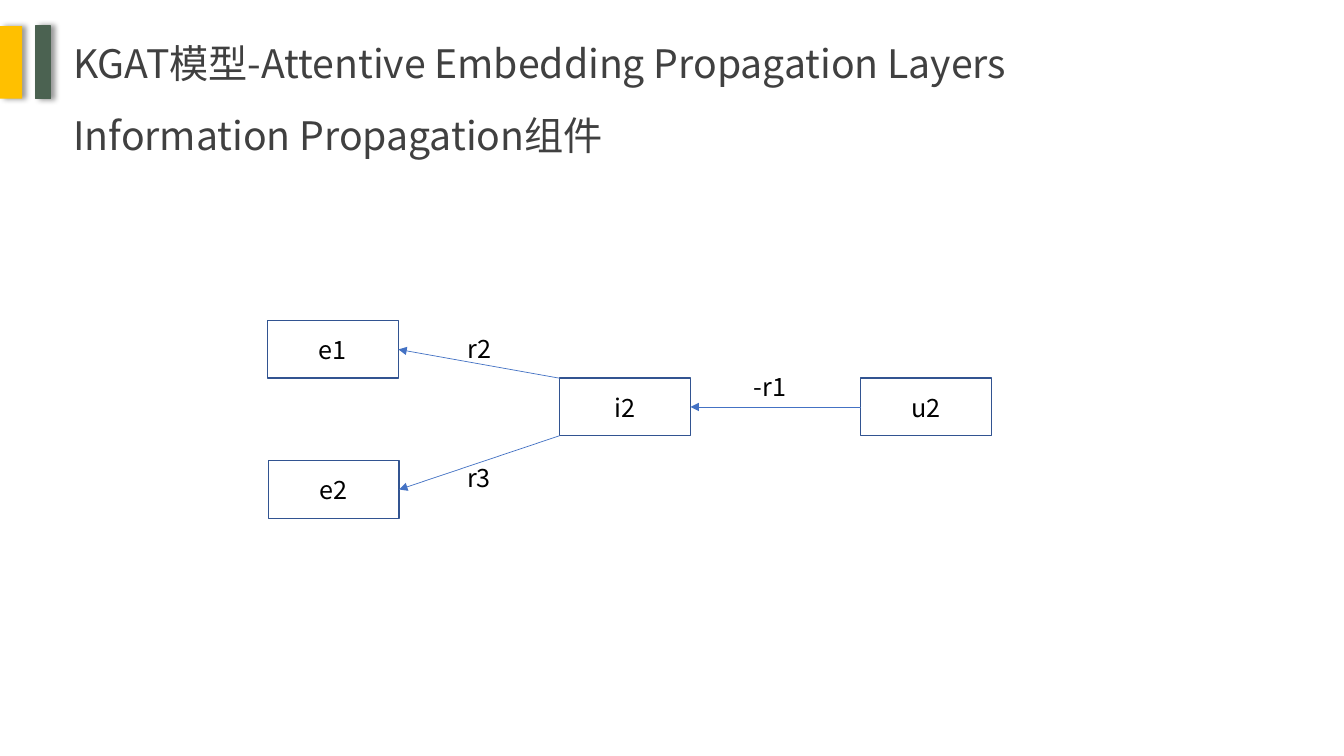
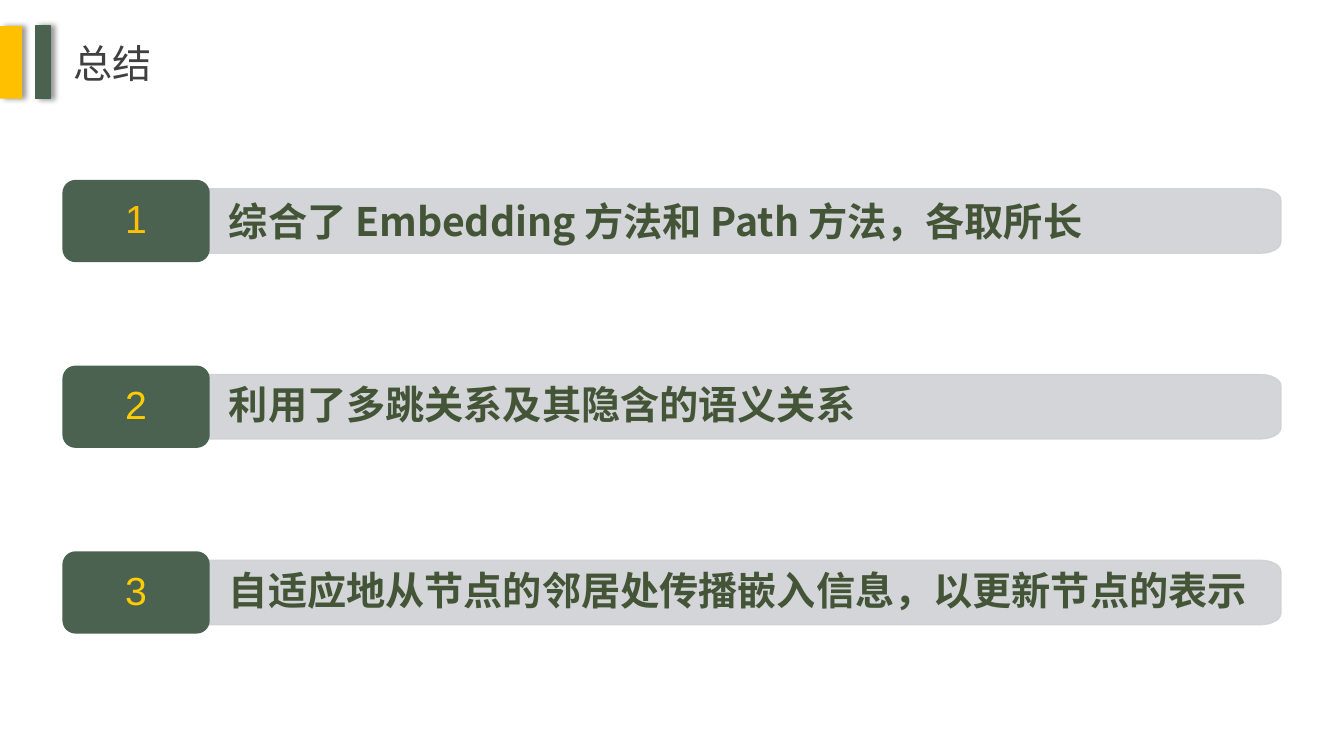
import math
from dataclasses import dataclass

import lxml.etree
import pptx
import pptx.dml.color
import pptx.enum.shapes
import pptx.enum.text
import pptx.oxml.ns
import pptx.util

Cm = pptx.util.Cm
Pt = pptx.util.Pt
qn = pptx.oxml.ns.qn
RGB = pptx.dml.color.RGBColor.from_string
SHAPE = pptx.enum.shapes.MSO_SHAPE
ALIGN = pptx.enum.text.PP_ALIGN
ANCHOR = pptx.enum.text.MSO_ANCHOR


@dataclass(frozen=True)
class Theme:
    font: str = "Noto Sans CJK SC"
    number_font: str = "Arial"
    heading: int = 28
    label: int = 18
    title: str = "404040"
    text: str = "000000"
    white: str = "FFFFFF"
    green: str = "4B6251"
    yellow: str = "FFC000"
    bright_yellow: str = "FFCC00"
    node_line: str = "325491"
    arrow: str = "4472C4"
    bar: str = "CFD1D4"
    bar_text: str = "445437"


def child(parent, tag, **attrs):
    return lxml.etree.SubElement(parent, qn(tag), {k: str(v) for k, v in attrs.items()})


class Deck:
    def __init__(self, theme):
        self.theme = theme
        self.prs = pptx.Presentation()
        self.prs.slide_width = Cm(33.87)
        self.prs.slide_height = Cm(19.05)
        self.s = None

    def set_text(self, sp, text, size, color, font=None, align=ALIGN.LEFT, bold=False,
                 anchor=ANCHOR.TOP, wrap=True, spacing=None):
        tf = sp.text_frame
        tf.word_wrap = wrap
        tf.vertical_anchor = anchor
        p = tf.paragraphs[0]
        p.text = text
        p.alignment = align
        p.line_spacing = spacing
        p.font.size = Pt(size)
        p.font.bold = bold
        p.font.color.rgb = RGB(color)
        p.font.name = font or self.theme.font
        child(p._p.pPr.find(qn("a:defRPr")), "a:ea", typeface=p.font.name)

    def paint(self, sp, fill, line=None, width=1, alpha=None):
        sp.shadow.inherit = False
        sp.fill.solid()
        sp.fill.fore_color.rgb = RGB(fill)
        if line:
            sp.line.color.rgb = RGB(line)
            sp.line.width = Pt(width)
        else:
            sp.line.fill.background()
        if alpha:
            for color in sp._element.spPr.iter(qn("a:srgbClr")):
                child(color, "a:alpha", val=alpha * 1000)

    def add_slide(self, title, width):
        self.s = self.prs.slides.add_slide(self.prs.slide_layouts[5])
        sp = self.s.shapes.title
        sp.left, sp.top, sp.width, sp.height = Cm(1.6), Cm(0.86), Cm(width), Cm(1.45)
        self.heading(sp, title)
        self.accent(0, 0.56, self.theme.yellow)
        self.accent(0.89, 0.38, self.theme.green, self.theme.green)

    def heading(self, sp, text):
        sp.text_frame.auto_size = pptx.enum.text.MSO_AUTO_SIZE.SHAPE_TO_FIT_TEXT
        self.set_text(sp, text, self.theme.heading, self.theme.title, wrap=False)

    def accent(self, x, width, fill, line=None):
        sp = self.s.shapes.add_shape(SHAPE.RECTANGLE, Cm(x), Cm(0.66), Cm(width), Cm(1.83))
        self.paint(sp, fill, line)
        effects = sp._element.spPr.find(qn("a:effectLst"))
        shadow = child(effects, "a:outerShdw", blurRad=Pt(4), dist=Pt(3), dir=0,
                       algn="l", rotWithShape=0)
        child(child(shadow, "a:srgbClr", val=self.theme.text), "a:alpha", val=40000)

    def subtitle(self, text):
        self.heading(self.s.shapes.add_textbox(Cm(1.6), Cm(2.67), Cm(14.3), Cm(1.45)), text)

    def node(self, text, x, y):
        sp = self.s.shapes.add_shape(SHAPE.RECTANGLE, Cm(x), Cm(y), Cm(3.3), Cm(1.45))
        self.paint(sp, self.theme.white, self.theme.node_line)
        self.set_text(sp, text, self.theme.label, self.theme.text, align=ALIGN.CENTER,
                      anchor=ANCHOR.MIDDLE)
        return sp

    def arrow(self, x, y, target):
        cn = self.s.shapes.add_connector(pptx.enum.shapes.MSO_CONNECTOR.STRAIGHT, x, y, x, y)
        cn.end_connect(target, 3)
        cn.line.color.rgb = RGB(self.theme.arrow)
        cn.line.width = Pt(0.5)
        spPr = cn._element.spPr
        child(spPr.find(qn("a:ln")), "a:tailEnd", type="triangle")
        child(spPr, "a:effectLst")

    def label(self, text, x, y):
        sp = self.s.shapes.add_textbox(Cm(x), Cm(y), Cm(2.8), Cm(1.02))
        self.set_text(sp, text, self.theme.label, self.theme.text, align=ALIGN.CENTER)

    def bar(self, text, x, y, spacing):
        width, height, rx, ry = 27.02, 1.62, 0.51, 0.28
        angles = [math.radians(a) for a in range(0, 91, 15)]
        top = [(x + width - rx + rx * math.sin(a), y + ry - ry * math.cos(a)) for a in angles]
        bottom = [(px, 2 * y + height - py) for px, py in reversed(top)]
        points = [(Cm(px), Cm(py)) for px, py in top + bottom + [(x, y + height)]]
        builder = self.s.shapes.build_freeform(Cm(x), Cm(y))
        builder.add_line_segments(points, close=True)
        sp = builder.convert_to_shape()
        self.paint(sp, self.theme.bar, self.theme.bar, alpha=90)
        tf = sp.text_frame
        tf.margin_left, tf.margin_right = Cm(0.51), Cm(0.58)
        tf.margin_top = tf.margin_bottom = Cm(0.33)
        self.set_text(sp, text, self.theme.heading, self.theme.bar_text, bold=True,
                      anchor=ANCHOR.MIDDLE, spacing=spacing)

    def badge(self, number, x, y, color):
        sp = self.s.shapes.add_shape(SHAPE.ROUNDED_RECTANGLE, Cm(x), Cm(y), Cm(3.66), Cm(2.02))
        sp.adjustments[0] = 0.15
        self.paint(sp, self.theme.green, self.theme.green, 1.5)
        self.set_text(sp, str(number), self.theme.heading, color, self.theme.number_font,
                      ALIGN.CENTER, anchor=ANCHOR.MIDDLE, spacing=0.9)


def propagation_slide(deck):
    deck.add_slide("KGAT模型-Attentive Embedding Propagation Layers", 25.02)
    deck.subtitle("Information Propagation组件")
    e1 = deck.node("e1", 6.74, 8.08)
    i2 = deck.node("i2", 14.1, 9.53)
    u2 = deck.node("u2", 21.69, 9.53)
    e2 = deck.node("e2", 6.76, 11.61)
    deck.arrow(i2.left, i2.top, e1)
    deck.arrow(i2.left, i2.top + i2.height, e2)
    deck.arrow(u2.left, u2.top + u2.height // 2, i2)
    for text, x, y in (("r2", 10.69, 8.28), ("-r1", 18.01, 9.22), ("r3", 10.67, 11.53)):
        deck.label(text, x, y)


def summary_slide(deck):
    deck.add_slide("总结", 2.51)
    theme = deck.theme
    points = (
        ("综合了 Embedding 方法和 Path 方法，各取所长", theme.yellow, 1.0),
        ("利用了多跳关系及其隐含的语义关系", theme.bright_yellow, 0.9),
        ("自适应地从节点的邻居处传播嵌入信息，以更新节点的表示", theme.bright_yellow, 0.9),
    )
    for i, (text, color, spacing) in enumerate(points):
        y = 4.56 + i * 4.68
        deck.bar(text, 5.26, y + 0.2, spacing)
        deck.badge(i + 1, 1.6, y, color)


def main():
    deck = Deck(Theme())
    propagation_slide(deck)
    summary_slide(deck)
    deck.prs.save("out.pptx")


if __name__ == "__main__":
    main()
